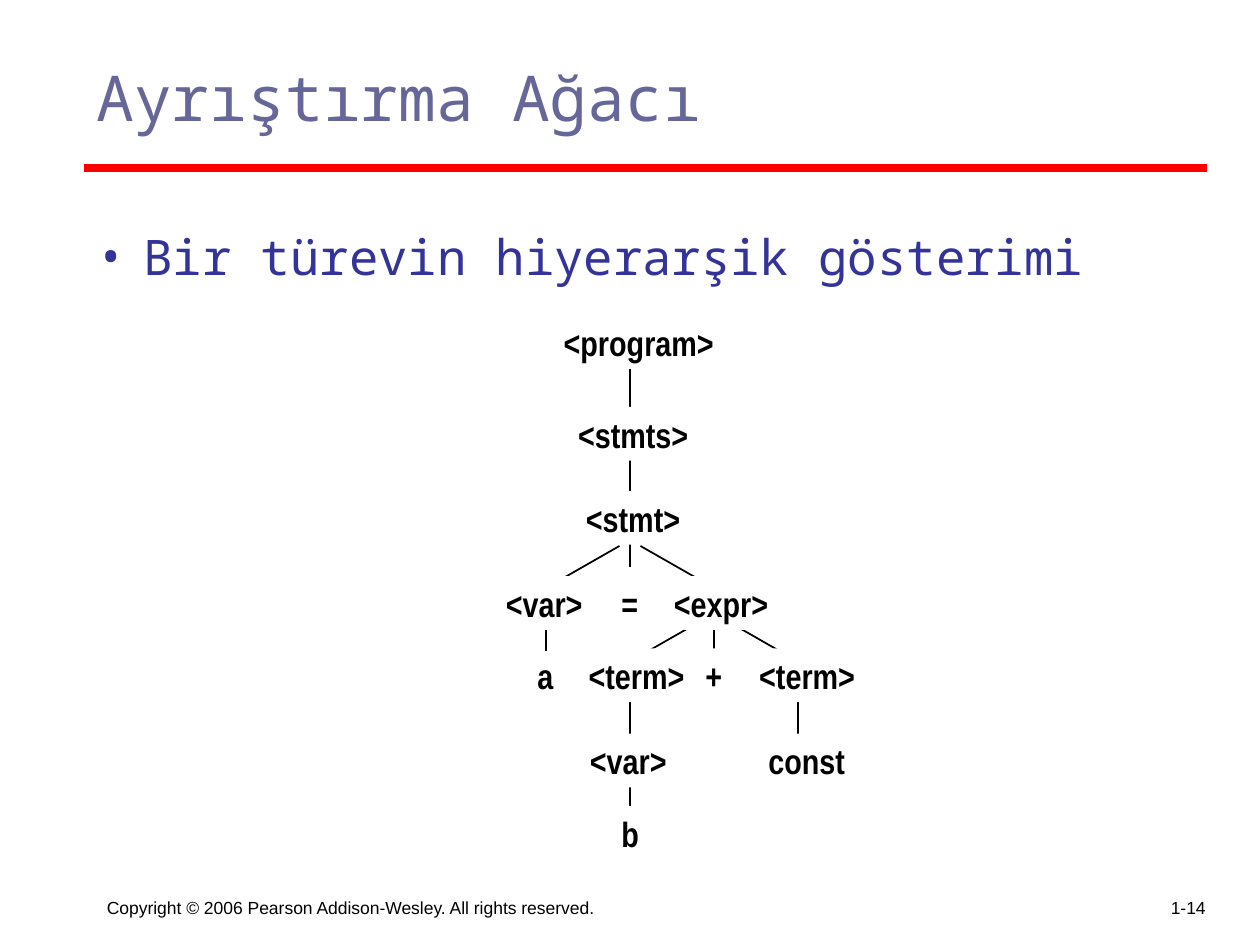
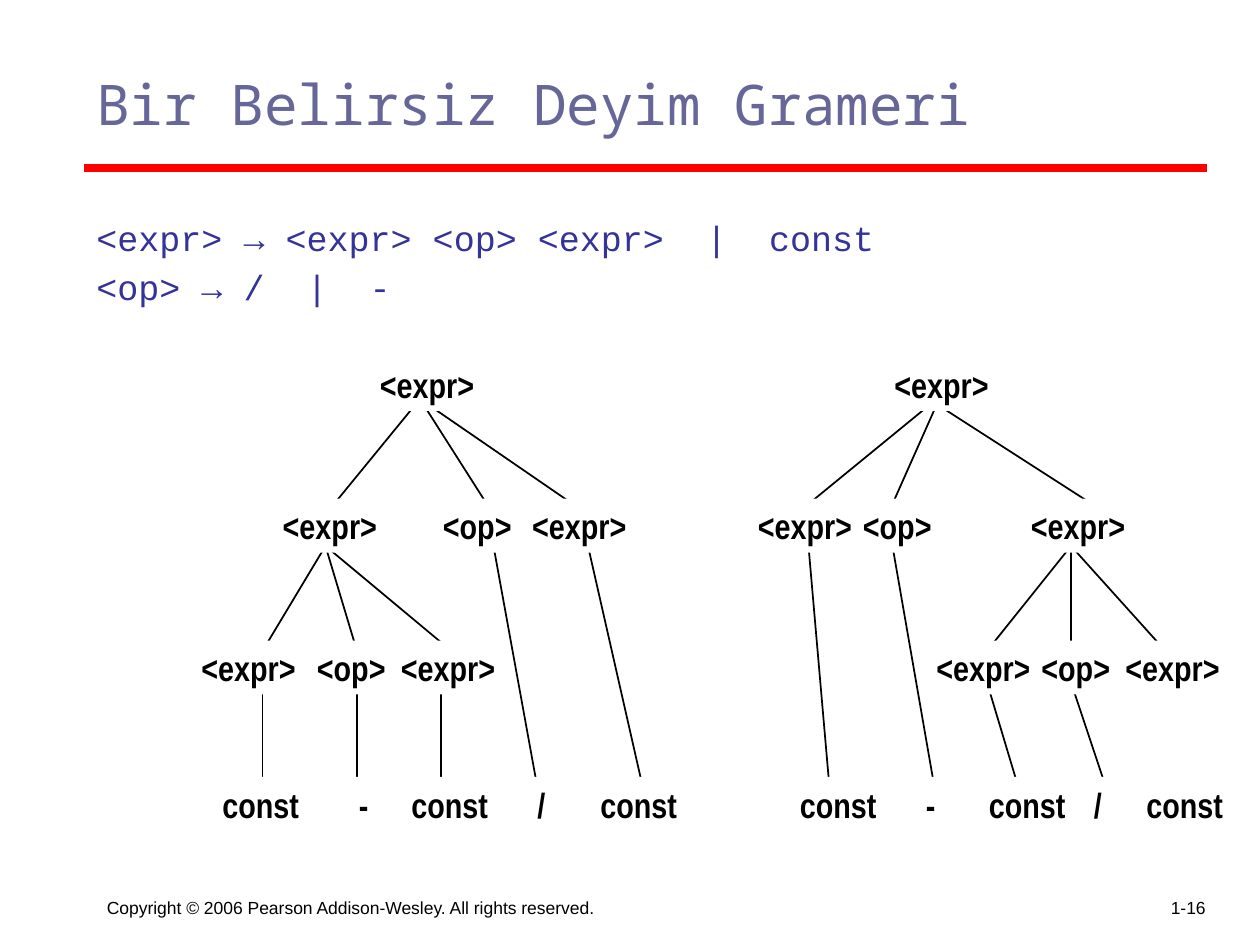
import pptx
import pptx.util
import pptx.dml.color
import pptx.enum.shapes
import pptx.enum.text
import pptx.oxml.ns
import lxml.etree

PX = 9525
MSO_ANCHOR = pptx.enum.text.MSO_ANCHOR
PP_ALIGN = pptx.enum.text.PP_ALIGN

THEME = {
    "paper": "FFFFFF",
    "ink": "000000",
    "rule": "FF0000",
    "rule_width": 4.5,
    "branch_width": 1,
    "title": {"name": "Noto Sans Mono", "color": "666699"},
    "bullet": {"name": "Noto Sans Mono", "size": 28, "color": "333399"},
    "grammar": {"name": "Courier New", "size": 20, "color": "333399"},
    "node": {"name": "Arial Narrow", "size": 20, "bold": True, "color": "000000"},
    "footer": {"name": "Arial", "size": 10, "color": "000000"},
}

COPYRIGHT = "Copyright © 2006 Pearson Addison-Wesley. All rights reserved."

LABEL_WIDTHS = {
    "<program>": 137, "<stmts>": 104, "<stmt>": 91, "<var>": 78, "<expr>": 91,
    "<term>": 92, "<op>": 72, "const": 78, "-": 27, "/": 25,
}
SHORT_LABEL_WIDTH = 32
NODE_HEIGHT = 41
HANGING_INDENT = 36

SLIDES = [
    {
        "title": "Ayrıştırma Ağacı",
        "title_size": 36,
        "title_box": (64, 40, 856, 120),
        "body": ["Bir türevin hiyerarşik gösterimi"],
        "body_style": "bullet",
        "body_box": (64, 168, 856, 480),
        "page": "1-14",
        "branches": [
            (264, 432, [(480, 480)]),
            (416, 448, [(472, 416), (488, 544)]),
            (448, 496, [(416, 416)]),
            (448, 504, [(544, 544)]),
            (472, 504, [(536, 480), (552, 608)]),
            (512, 584, [(608, 608)]),
            (512, 640, [(480, 480)]),
        ],
        "levels": [
            (240, [("<program>", 420)]),
            (310, [("<stmts>", 431)]),
            (374, [("<stmt>", 437)]),
            (439, [("<var>", 376), ("=", 464), ("<expr>", 504)]),
            (494, [("a", 400), ("<term>", 439), ("+", 528), ("<term>", 569)]),
            (559, [("<var>", 440), ("const", 576)]),
            (614, [("b", 464)]),
        ],
        "unfilled": {"a", "="},
    },
    {
        "title": "Bir Belirsiz Deyim Grameri",
        "title_size": 32,
        "title_box": (64, 48, 856, 120),
        "body": ["<expr> → <expr> <op> <expr>  |  const", "<op> → /  |  -"],
        "body_style": "grammar",
        "body_box": (64, 160, 784, 496),
        "page": "1-16",
        "branches": [
            (304, 392, [(320, 248), (320, 376), (320, 448)]),
            (312, 384, [(704, 616), (712, 680), (720, 832)]),
            (416, 496, [(248, 200), (248, 272), (248, 344),
                        (816, 752), (816, 816), (816, 888)]),
            (416, 592, [(376, 408), (448, 488)]),
            (416, 600, [(616, 632), (680, 712)]),
            (520, 600, [(200, 200), (272, 272), (336, 336), (752, 776)]),
            (520, 592, [(816, 840)]),
        ],
        "levels": [
            (272, [("<expr>", 280), ("<expr>", 672)]),
            (380, [("<expr>", 206), ("<op>", 328), ("<expr>", 396),
                   ("<expr>", 568), ("<op>", 648), ("<expr>", 776)]),
            (488, [("<expr>", 144), ("<op>", 232), ("<expr>", 296),
                   ("<expr>", 704), ("<op>", 784), ("<expr>", 848)]),
            (592, [("const", 160), ("-", 264), ("const", 304), ("/", 400), ("const", 448),
                   ("const", 600), ("-", 696), ("const", 744), ("/", 824), ("const", 864)]),
        ],
        "unfilled": set(),
    },
]


def rgb(value):
    return pptx.dml.color.RGBColor.from_string(value)


def emu(lengths):
    return [length * PX for length in lengths]


def apply_font(font, style):
    for key, value in style.items():
        if key == "color":
            font.color.rgb = rgb(value)
        elif key == "size":
            font.size = pptx.util.Pt(value)
        else:
            setattr(font, key, value)


def write(frame, lines, style, align=PP_ALIGN.LEFT, **frame_format):
    for key, value in {"word_wrap": True, "vertical_anchor": MSO_ANCHOR.TOP, **frame_format}.items():
        setattr(frame, key, value)
    for index, line in enumerate(lines):
        paragraph = frame.add_paragraph() if index else frame.paragraphs[0]
        paragraph.alignment = align
        run = paragraph.add_run()
        run.text = line
        apply_font(run.font, style)
    return frame.paragraphs


def add_text(slide, box, lines, style, **options):
    return write(slide.shapes.add_textbox(*emu(box)).text_frame, lines, style, **options)


def add_line(slide, ends, color, width):
    line = slide.shapes.add_connector(pptx.enum.shapes.MSO_CONNECTOR.STRAIGHT, *emu(ends))
    line.line.color.rgb = rgb(color)
    line.line.width = pptx.util.Pt(width)
    lxml.etree.SubElement(line._element.spPr, pptx.oxml.ns.qn("a:effectLst"))


def add_frame(slide, content):
    add_line(slide, (64, 128, 920, 128), THEME["rule"], THEME["rule_width"])
    add_text(slide, (72, 656, 440, 48), [COPYRIGHT], THEME["footer"],
             vertical_anchor=MSO_ANCHOR.BOTTOM)
    add_text(slide, (728, 656, 200, 48), [content["page"]], THEME["footer"],
             align=PP_ALIGN.RIGHT, vertical_anchor=MSO_ANCHOR.BOTTOM)
    add_text(slide, content["title_box"], [content["title"]],
             {**THEME["title"], "size": content["title_size"]})


def add_body(slide, content):
    kind = content["body_style"]
    style = THEME[kind]
    for index, paragraph in enumerate(add_text(slide, content["body_box"], content["body"], style)):
        properties = paragraph._p.get_or_add_pPr()
        properties.set("marL", str(HANGING_INDENT * PX))
        properties.set("indent", str(-HANGING_INDENT * PX))
        if kind == "bullet":
            for tag, key, value in (("a:buFont", "typeface", style["name"]), ("a:buChar", "char", "•")):
                lxml.etree.SubElement(properties, pptx.oxml.ns.qn(tag)).set(key, value)
        if index:
            paragraph.space_before = pptx.util.Pt(style["size"] * 0.2)


def add_node(slide, label, left, top, filled):
    width = LABEL_WIDTHS.get(label, SHORT_LABEL_WIDTH)
    node = slide.shapes.add_shape(pptx.enum.shapes.MSO_SHAPE.RECTANGLE,
                                  *emu((left, top, width, NODE_HEIGHT)))
    node.shadow.inherit = False
    node.line.fill.background()
    if filled:
        node.fill.solid()
        node.fill.fore_color.rgb = rgb(THEME["paper"])
    else:
        node.fill.background()
    write(node.text_frame, [label], THEME["node"], word_wrap=False,
          auto_size=pptx.enum.text.MSO_AUTO_SIZE.SHAPE_TO_FIT_TEXT)


def add_tree(slide, content):
    for top, bottom, spans in content["branches"]:
        for start, end in spans:
            add_line(slide, (start, top, end, bottom), THEME["ink"], THEME["branch_width"])
    for top, nodes in content["levels"]:
        for label, left in nodes:
            add_node(slide, label, left, top, label not in content["unfilled"])


def main():
    deck = pptx.Presentation()
    deck.slide_width, deck.slide_height = emu((960, 720))
    for content in SLIDES:
        slide = deck.slides.add_slide(deck.slide_layouts[6])
        for add_part in (add_frame, add_body, add_tree):
            add_part(slide, content)
    deck.save("out.pptx")


if __name__ == "__main__":
    main()
